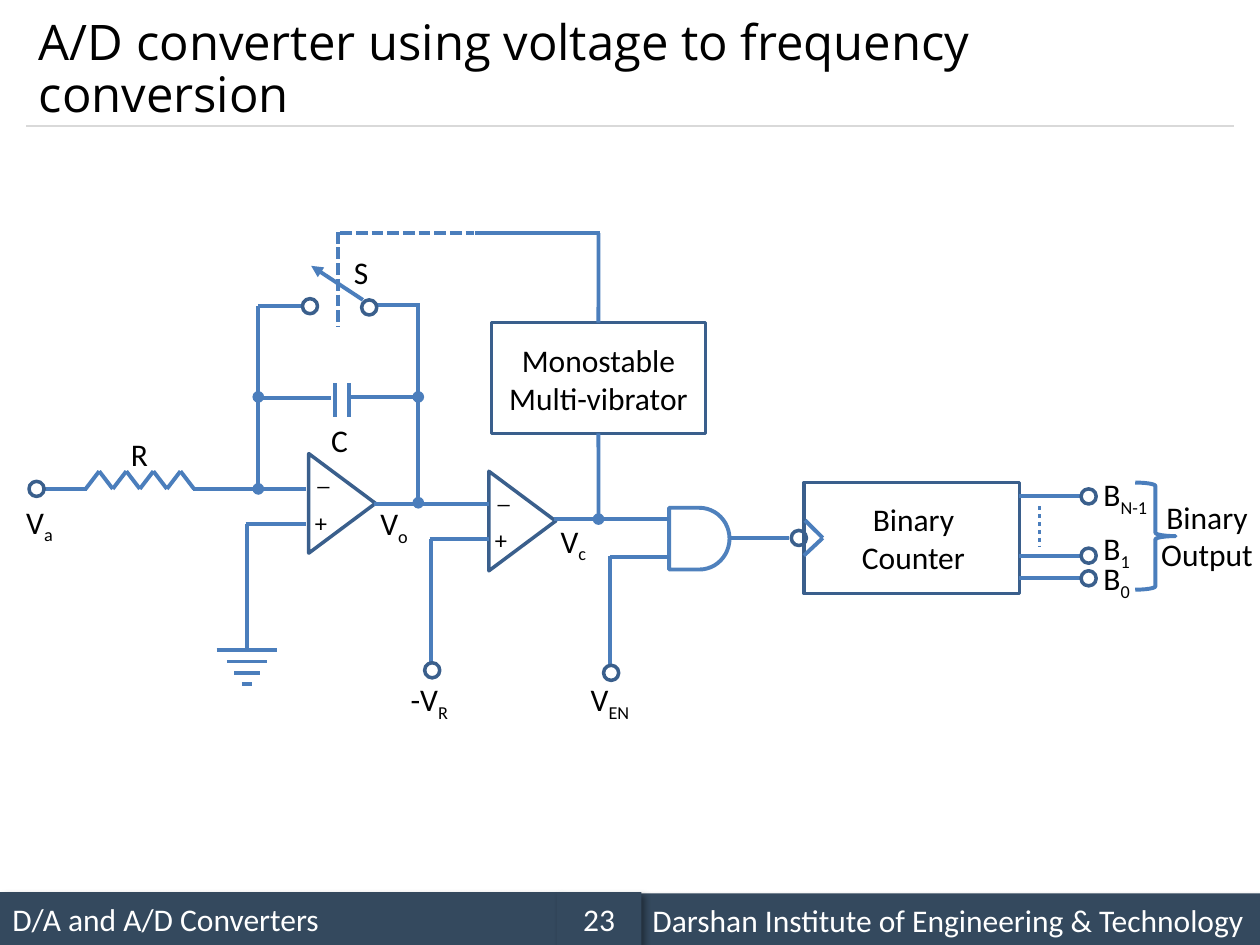
from dataclasses import dataclass
from typing import Any, Optional

from lxml import etree
from pptx import Presentation
from pptx import util as u
from pptx.dml.color import RGBColor
from pptx.enum import dml, shapes, text
from pptx.oxml import ns

WIRE_BLUE = RGBColor(0x4B, 0x7E, 0xBC)
GATE_BLUE = RGBColor(0x4F, 0x81, 0xBD)
OUTLINE_BLUE = RGBColor(0x3A, 0x5F, 0x8C)
FOOTER_NAVY = RGBColor(0x34, 0x49, 0x5E)
RULE_GRAY = RGBColor(0xD9, 0xD9, 0xD9)
BLACK = RGBColor(0, 0, 0)
WHITE = RGBColor(0xFF, 0xFF, 0xFF)

SHAPE = shapes.MSO_SHAPE
DASHES = dml.MSO_LINE
ALIGN = text.PP_ALIGN
MIDDLE = text.MSO_ANCHOR.MIDDLE
TERMINAL_SIZE = 0.12


@dataclass
class Wire:
    x1: float
    y1: float
    x2: float
    y2: float
    tail: Optional[str] = None
    dash: Any = None


@dataclass
class Label:
    words: str
    left: float
    top: float
    width: float
    subscript: str = ""
    height: float = 0.4
    size: int = 18
    align: Any = ALIGN.LEFT


def length(inches: float) -> u.Length:
    return u.Cm(inches * 2.54)


def write(shape, words: str, *, subscript: str = "", size: int = 18, font: str = "Calibri",
          color: RGBColor = BLACK, align=ALIGN.LEFT, anchor=text.MSO_ANCHOR.TOP,
          line_spacing: Optional[float] = None) -> None:
    """Fill a shape with one paragraph per line of words."""
    frame = shape.text_frame
    frame.word_wrap = True
    frame.vertical_anchor = anchor
    for index, line in enumerate(words.split("\n")):
        paragraph = frame.add_paragraph() if index else frame.paragraphs[0]
        paragraph.alignment = align
        paragraph.line_spacing = line_spacing
        for part in filter(None, (line, subscript)):
            run = paragraph.add_run()
            run.text = part
            run.font.size, run.font.name = u.Pt(size), font
            run.font.color.rgb = color
        if subscript:
            run.font._element.set("baseline", "-25000")


def add_label(slide, label: Label, **style) -> None:
    box = slide.shapes.add_textbox(*map(length, (label.left, label.top, label.width, label.height)))
    write(box, label.words, subscript=label.subscript, size=label.size, align=label.align, **style)


def add_wire(slide, wire: Wire, color: RGBColor = WIRE_BLUE, width: float = 2.25):
    connector = slide.shapes.add_connector(
        shapes.MSO_CONNECTOR.STRAIGHT, *map(length, (wire.x1, wire.y1, wire.x2, wire.y2)))
    connector.line.color.rgb = color
    connector.line.width = u.Pt(width)
    if wire.dash:
        connector.line.dash_style = wire.dash
    if wire.tail:
        etree.SubElement(connector.line._get_or_add_ln(), ns.qn("a:tailEnd"), type=wire.tail)
    etree.SubElement(connector._element.spPr, ns.qn("a:effectLst"))
    return connector


def add_outline(slide, kind, left: float, top: float, width: float, height: float,
                color: RGBColor = OUTLINE_BLUE, line_width: float = 2, rotation: float = 0):
    shape = slide.shapes.add_shape(kind, *map(length, (left, top, width, height)))
    shape.shadow.inherit = False
    shape.fill.background()
    shape.line.color.rgb = color
    shape.line.width = u.Pt(line_width)
    shape.rotation = rotation
    return shape


def add_op_amp(slide, left: float, top: float) -> None:
    add_outline(slide, SHAPE.ISOSCELES_TRIANGLE, left, top, 0.79, 0.53, rotation=90)
    for sign, dx, dy in (("_", 0.1, -0.12), ("+", 0.08, 0.25)):
        add_label(slide, Label(sign, left + dx, top + dy, 0.29, height=0.34, size=14))


def add_footer_band(slide, words: str, left: float, top: float, width: float, align=ALIGN.LEFT) -> None:
    band = slide.shapes.add_shape(SHAPE.RECTANGLE, *map(length, (left, top, width, 0.42)))
    band.shadow.inherit = False
    band.fill.solid()
    band.fill.fore_color.rgb = FOOTER_NAVY
    band.line.fill.background()
    effects = band._element.spPr.find(ns.qn("a:effectLst"))
    shadow = etree.SubElement(effects, ns.qn("a:outerShdw"), blurRad=str(u.Pt(4)),
                              dist=str(u.Pt(3)), dir="2700000", rotWithShape="0")
    black = etree.SubElement(shadow, ns.qn("a:srgbClr"), val="000000")
    etree.SubElement(black, ns.qn("a:alpha"), val="40000")
    write(band, words, color=WHITE, align=align, anchor=MIDDLE)


WIRES = [
    # Capacitor and feedback loop
    Wire(2.77, 3.04, 2.77, 3.31), Wire(2.66, 3.04, 2.66, 3.31),
    Wire(2.04, 3.16, 2.63, 3.16), Wire(2.76, 3.15, 3.35, 3.15),
    Wire(2.05, 3.15, 2.05, 3.88, "oval"), Wire(2.05, 2.43, 2.05, 3.15, "oval"),
    Wire(3.32, 3.16, 3.32, 3.99, "oval"), Wire(3.32, 2.42, 3.32, 3.15, "oval"),
    # Switch
    Wire(2.05, 2.43, 2.41, 2.43), Wire(2.98, 2.42, 3.33, 2.42),
    Wire(2.88, 2.38, 2.47, 2.11, "triangle"),
    # Integrator inputs
    Wire(0.33, 3.88, 0.69, 3.88), Wire(1.53, 3.88, 2.43, 3.88),
    Wire(1.95, 4.16, 2.43, 4.16), Wire(1.96, 4.16, 1.96, 5.14),
    # Comparator
    Wire(2.97, 4, 3.88, 4), Wire(3.41, 4.28, 3.88, 4.28), Wire(3.42, 4.28, 3.42, 5.26),
    # Gate
    Wire(4.4, 4.12, 5.31, 4.12), Wire(4.84, 4.42, 5.31, 4.42),
    Wire(4.84, 4.41, 4.84, 5.28), Wire(5.79, 4.27, 6.26, 4.27),
    # Clock mark and omitted counter bits
    Wire(6.39, 4.13, 6.53, 4.27), Wire(6.53, 4.27, 6.38, 4.41),
    Wire(8.25, 4.02, 8.25, 4.34, dash=DASHES.ROUND_DOT),
    # Reset path to the switch
    Wire(3.77, 1.85, 4.76, 1.85),
    Wire(2.7, 1.85, 3.76, 1.85, dash=DASHES.SQUARE_DOT),
    Wire(2.68, 1.84, 2.68, 2.59, dash=DASHES.SQUARE_DOT),
]

TERMINALS = [(2.87, 2.38), (2.4, 2.37), (0.23, 3.82), (3.37, 5.26), (4.79, 5.28), (6.28, 4.21)]
OUTPUT_LEVELS = [3.94, 4.41, 4.59]
GROUND_HALF_WIDTHS = [0.24, 0.16, 0.1, 0.04]

LABELS = [
    Label("Monostable\nMulti-vibrator", 3.9, 2.66, 1.7, height=0.71, align=ALIGN.CENTER),
    Label("Binary\nCounter", 6.68, 3.92, 1.14, height=0.71, align=ALIGN.CENTER),
    Label("Binary\nOutput", 9.01, 3.9, 1.14, height=0.71, align=ALIGN.CENTER),
    Label("B", 8.66, 4.39, 0.47, "0"),
    Label("B", 8.66, 4.15, 0.47, "1"),
    Label("B", 8.66, 3.72, 0.63, "N-1"),
    Label("V", 0.11, 3.94, 0.41, "a"),
    Label("V", 2.92, 3.95, 0.47, "o"),
    Label("V", 4.35, 4.09, 0.41, "c"),
    Label("-V", 3.16, 5.35, 0.52, "R"),
    Label("V", 4.59, 5.35, 0.64, "EN"),
    Label("R", 0.94, 3.4, 0.33),
    Label("C", 2.53, 3.29, 0.33),
    Label("S", 2.71, 1.96, 0.33),
]


def main() -> None:
    presentation = Presentation()
    presentation.slide_width, presentation.slide_height = length(10), length(7.5)
    slide = presentation.slides.add_slide(presentation.slide_layouts[6])

    # Footer, title and rule
    add_footer_band(slide, "D/A and A/D Converters", 0, 7.08, 4.42)
    add_footer_band(slide, "Darshan Institute of Engineering & Technology", 5.08, 7.09, 4.92)
    add_footer_band(slide, "23", 4.42, 7.08, 0.67, ALIGN.CENTER)
    add_wire(slide, Wire(0.21, 1, 9.79, 1), RULE_GRAY, 0.75)
    add_label(slide, Label("A/D converter using voltage to frequency conversion",
                           0.21, 0.12, 9.58, height=0.88, size=28),
              font="Open Sans", anchor=MIDDLE, line_spacing=0.9)

    # Op-amps, gate, blocks and output brace
    add_op_amp(slide, 2.32, 3.73)
    add_op_amp(slide, 3.75, 3.87)
    add_outline(slide, SHAPE.FLOWCHART_DELAY, 5.31, 4.03, 0.48, 0.49, GATE_BLUE, 2.25)
    add_outline(slide, SHAPE.RECTANGLE, 6.38, 3.83, 1.71, 0.88)
    monostable = add_outline(slide, SHAPE.RECTANGLE, 3.9, 2.56, 1.7, 0.88)
    add_outline(slide, SHAPE.RIGHT_BRACE, 9.01, 3.83, 0.32, 0.85, WIRE_BLUE, 2.25)

    # Wires
    for wire in WIRES:
        add_wire(slide, wire)
    add_wire(slide, Wire(4.75, 3.44, 4.75, 4.12, "oval")).begin_connect(monostable, 2)
    add_wire(slide, Wire(4.75, 1.85, 4.75, 2.56)).end_connect(monostable, 0)

    # Resistor zigzag
    zigzag = [(0.68 + 0.1075 * step, 3.74 if step % 2 else 3.88) for step in range(9)]
    for start, end in zip(zigzag, zigzag[1:]):
        add_wire(slide, Wire(*start, *end))

    # Ground symbol
    for step, half in enumerate(GROUND_HALF_WIDTHS):
        level = 5.16 + 0.09 * step
        add_wire(slide, Wire(1.96 - half, level, 1.96 + half, level))

    # Counter outputs and terminals
    for level in OUTPUT_LEVELS:
        add_wire(slide, Wire(8.09, level, 8.57, level))
    outputs = [(8.58, level - TERMINAL_SIZE / 2) for level in OUTPUT_LEVELS]
    for left, top in TERMINALS + outputs:
        add_outline(slide, SHAPE.OVAL, left, top, TERMINAL_SIZE, TERMINAL_SIZE)

    for label in LABELS:
        add_label(slide, label)

    presentation.save("out.pptx")


if __name__ == "__main__":
    main()
